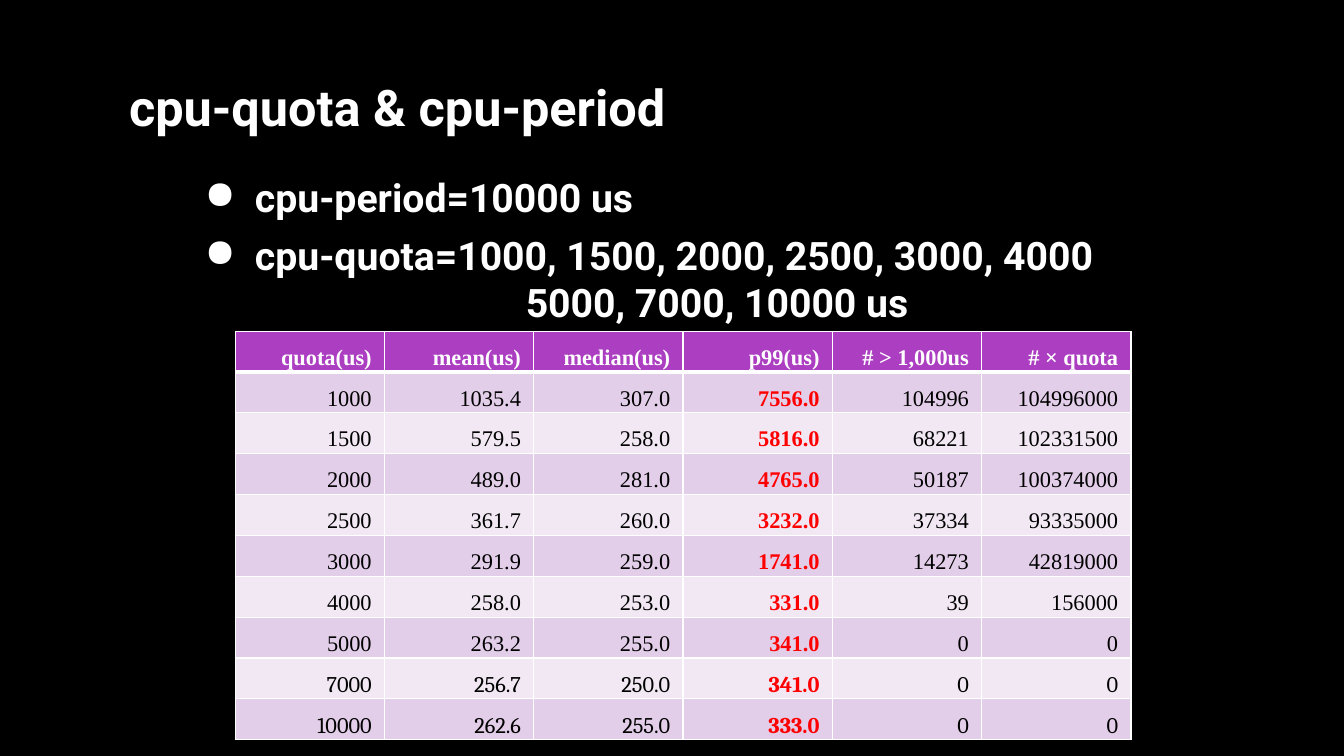
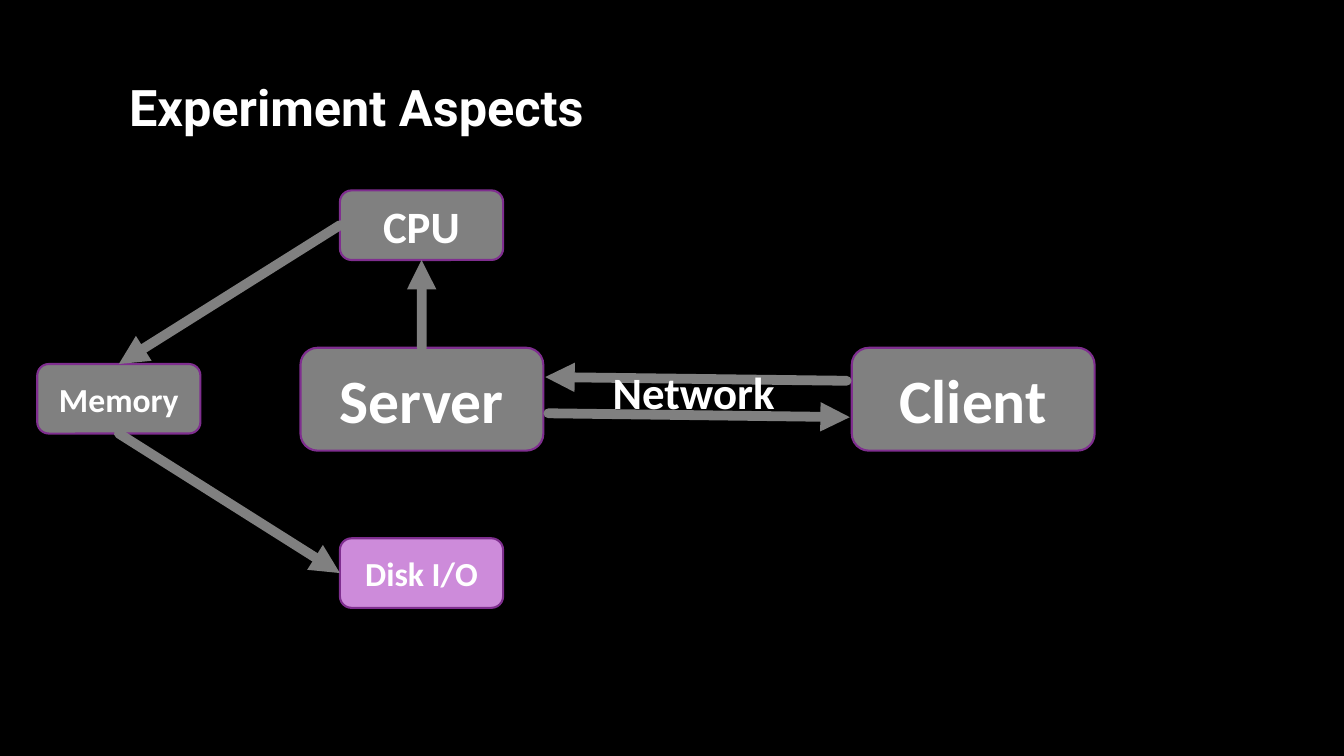
"""Build two slides on CPU quota measurements and the aspects of the experiment."""
from lxml.etree import SubElement
from pptx import Presentation
from pptx.dml.color import RGBColor
from pptx.enum.shapes import MSO_CONNECTOR as LineKind, MSO_SHAPE as Preset
from pptx.enum.text import MSO_ANCHOR as Anchor, PP_ALIGN as Align
from pptx.oxml.ns import qn
from pptx.util import Pt

BLACK = RGBColor(0x00, 0x00, 0x00)
WHITE = RGBColor(0xFF, 0xFF, 0xFF)
RED = RGBColor(0xFF, 0x00, 0x00)
GRAY = RGBColor(0x80, 0x80, 0x80)
PURPLE = RGBColor(0xAC, 0x3E, 0xC1)
DARK_PURPLE = RGBColor(0x7F, 0x2E, 0x8F)
ORCHID = RGBColor(0xCD, 0x8B, 0xDA)
BANDS = [RGBColor(0xF1, 0xE8, 0xF4), RGBColor(0xE3, 0xCE, 0xE9)]


def style(paragraph, face, size, color=WHITE, bold=True, align=Align.LEFT):
    """Format a paragraph and all its runs."""
    paragraph.alignment = align
    for run in paragraph.runs:
        run.font.name = face
        run.font.size = Pt(size)
        run.font.bold = bold
        run.font.color.rgb = color


def add_titled_slide(title_text):
    """Add a title-only slide with the shared title style."""
    slide = prs.slides.add_slide(prs.slide_layouts[5])
    title = slide.shapes.title
    title.left, title.top, title.width, title.height = Pt(85), Pt(50.4), Pt(448), Pt(51)
    title.text_frame.text = title_text
    title.text_frame.vertical_anchor = Anchor.TOP
    style(title.text_frame.paragraphs[0], "Roboto", 36)
    return slide


prs = Presentation()
prs.slide_width, prs.slide_height = Pt(960), Pt(540)
prs.slide_master.background.fill.solid()
prs.slide_master.background.fill.fore_color.rgb = BLACK

quota_slide = add_titled_slide("cpu-quota & cpu-period")
settings = quota_slide.shapes.add_textbox(Pt(139), Pt(120.2), Pt(738), Pt(116)).text_frame
settings.word_wrap = True
settings.text = "\n".join([
    "cpu-period=10000 us",
    "cpu-quota=1000, 1500, 2000, 2500, 3000, 4000",
    "5000, 7000, 10000 us",
])
for paragraph, indent, bulleted in zip(settings.paragraphs, [36, 36, 229.5], [True, True, False]):
    style(paragraph, "Roboto", 28)
    properties = paragraph._p.get_or_add_pPr()
    properties.set("marL", str(Pt(indent)))
    properties.set("indent", str(Pt(-36 if bulleted else 0)))
    if bulleted:
        SubElement(properties, qn("a:buChar"), char="●")
settings.paragraphs[0].space_after = Pt(8)

MEASUREMENTS = [
    ["quota(us)", "mean(us)", "median(us)", "p99(us)", "# > 1,000us", "# × quota"],
    ["1000", "1035.4", "307.0", "7556.0", "104996", "104996000"],
    ["1500", "579.5", "258.0", "5816.0", "68221", "102331500"],
    ["2000", "489.0", "281.0", "4765.0", "50187", "100374000"],
    ["2500", "361.7", "260.0", "3232.0", "37334", "93335000"],
    ["3000", "291.9", "259.0", "1741.0", "14273", "42819000"],
    ["4000", "258.0", "253.0", "331.0", "39", "156000"],
    ["5000", "263.2", "255.0", "341.0", "0", "0"],
    ["7000", "256.7", "250.0", "341.0", "0", "0"],
    ["10000", "262.6", "255.0", "333.0", "0", "0"],
]
P99_COLUMN = 3
FIRST_CAMBRIA_ROW = 8
latencies = quota_slide.shapes.add_table(
    len(MEASUREMENTS), len(MEASUREMENTS[0]), Pt(168), Pt(236.8), Pt(640), Pt(291.3)).table
latencies.horz_banding = False
for column in latencies.columns:
    column.width = Pt(106.65)
for row_index, values in enumerate(MEASUREMENTS):
    is_header = row_index == 0
    latencies.rows[row_index].height = Pt(28.5 if is_header else 29.2)
    face = "Cambria" if row_index >= FIRST_CAMBRIA_ROW else "Times New Roman"
    for column_index, value in enumerate(values):
        is_p99 = column_index == P99_COLUMN
        cell = latencies.cell(row_index, column_index)
        cell.margin_left, cell.margin_right = Pt(5), Pt(9.2)
        cell.margin_top = cell.margin_bottom = 0
        cell.vertical_anchor = Anchor.MIDDLE
        cell.text_frame.text = value
        paragraph = cell.text_frame.paragraphs[0]
        paragraph.line_spacing = 1.5
        paragraph.space_after = Pt(12)
        color = WHITE if is_header else RED if is_p99 else BLACK
        style(paragraph, face, 16, color, is_header or is_p99, Align.RIGHT)
        for side in "LRTB":
            thick = (is_header and side == "B") or (row_index == 1 and side == "T")
            border = SubElement(cell._tc.get_or_add_tcPr(), qn("a:ln" + side),
                                w=str(Pt(3 if thick else 1)))
            border_fill = SubElement(border, qn("a:solidFill"))
            SubElement(border_fill, qn("a:srgbClr"), val=str(WHITE))
        cell.fill.solid()
        cell.fill.fore_color.rgb = PURPLE if is_header else BANDS[row_index % 2]

aspects_slide = add_titled_slide("Experiment Aspects")
LARGE, SMALL = (173.5, 73.5), (116.6, 49.7)
ASPECTS = [
    ("Client", 608.4, 248.4, LARGE, 44, GRAY),
    ("Server", 214.6, 248.4, LARGE, 44, GRAY),
    ("Memory", 26.6, 260, SMALL, 24, GRAY),
    ("Disk I/O", 242.8, 384.5, SMALL, 24, ORCHID),
    ("CPU", 242.8, 136, SMALL, 32, GRAY),
]
boxes = {}
for label, left, top, (width, height), size, color in ASPECTS:
    box = aspects_slide.shapes.add_shape(
        Preset.ROUNDED_RECTANGLE, Pt(left), Pt(top), Pt(width), Pt(height))
    box.shadow.inherit = False
    box.fill.solid()
    box.fill.fore_color.rgb = color
    box.line.color.rgb = DARK_PURPLE
    box.line.width = Pt(1.5)
    box.text_frame.text = label
    box.text_frame.vertical_anchor = Anchor.MIDDLE
    style(box.text_frame.paragraphs[0], "Calibri", size, align=Align.CENTER)
    boxes[label] = box

TOP, LEFT, BOTTOM = 0, 1, 2
NETWORK_ENDS = [(604.8, 272, 389.5, 269.3), (391.7, 295.2, 607, 298)]
LINKS = [
    ("Server", TOP, "CPU", BOTTOM),
    ("CPU", LEFT, "Memory", TOP),
    ("Memory", BOTTOM, "Disk I/O", LEFT),
]
arrows = [aspects_slide.shapes.add_connector(LineKind.STRAIGHT, *map(Pt, ends))
          for ends in NETWORK_ENDS]
for source, source_side, target, target_side in LINKS:
    link = aspects_slide.shapes.add_connector(LineKind.STRAIGHT, 0, 0, 0, 0)
    link.begin_connect(boxes[source], source_side)
    link.end_connect(boxes[target], target_side)
    arrows.append(link)
for arrow in arrows:
    arrow.line.color.rgb = GRAY
    arrow.line.width = Pt(7)
    outline = arrow.line._get_or_add_ln()
    outline.set("cap", "rnd")
    SubElement(outline, qn("a:tailEnd"), type="triangle")
    SubElement(arrow._element.spPr, qn("a:effectLst"))

network = aspects_slide.shapes.add_textbox(Pt(430.6), Pt(257), Pt(131.8), Pt(46)).text_frame
network.word_wrap = False
network.text = "Network"
style(network.paragraphs[0], "Calibri", 32)

prs.save("out.pptx")
